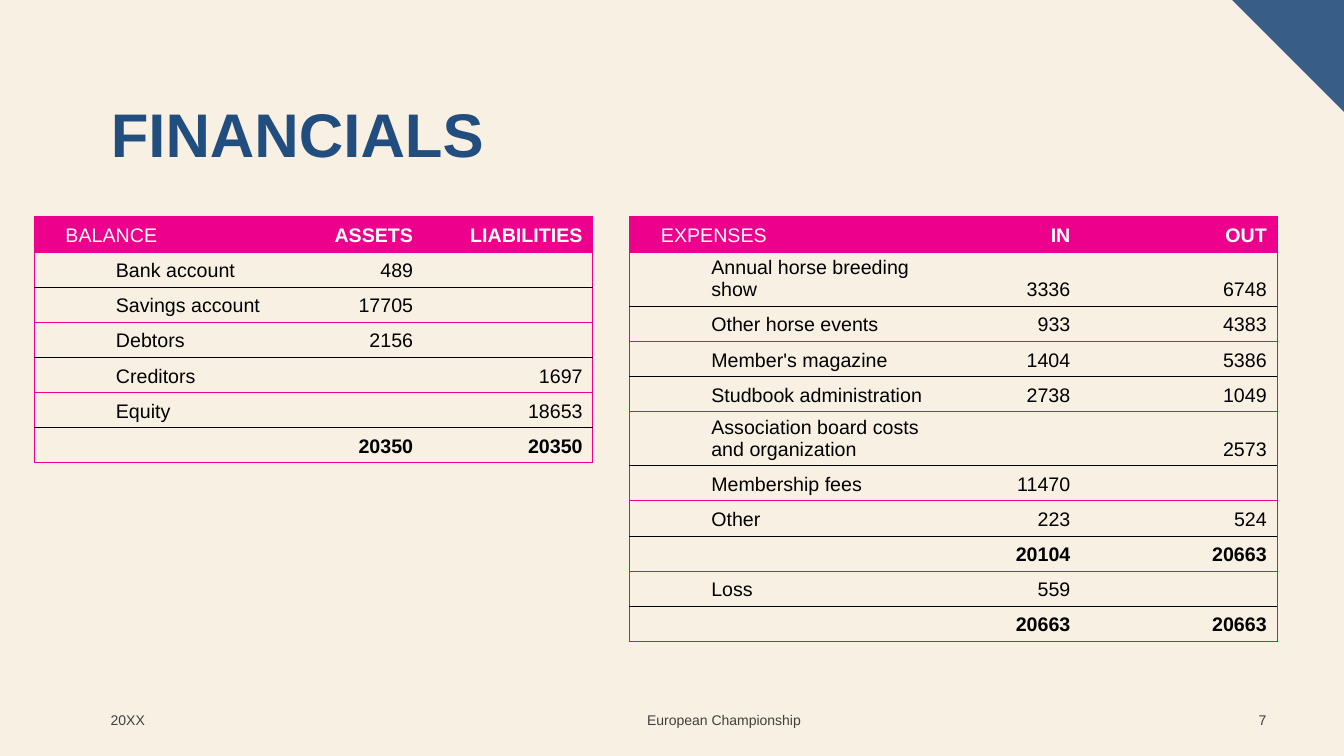
from dataclasses import dataclass

from lxml import etree
from pptx import Presentation
from pptx import util as u
from pptx.dml.color import RGBColor
from pptx.enum import shapes, text
from pptx.oxml.ns import qn

SLIDE_WIDTH, SLIDE_HEIGHT = u.Inches(13.33), u.Inches(7.5)


@dataclass(frozen=True)
class Theme:
    font: str = "Arial"
    cream: str = "F8F0E3"
    corner: str = "385E88"
    navy: str = "224E7F"
    magenta: str = "EC008C"
    white: str = "FFFFFF"
    black: str = "000000"
    grey: str = "404040"
    title_size: int = 44
    table_size: int = 14
    footer_size: int = 10
    rule_width: float = 0.5


@dataclass(frozen=True)
class Entry:
    label: str
    first: str = ""
    second: str = ""
    lines: int = 1


@dataclass(frozen=True)
class Ledger:
    """A table with its left edge and width in percent of the slide."""
    left: float
    width: float
    entries: tuple[Entry, ...]


@dataclass(frozen=True)
class FooterItem:
    wording: str
    left: float
    width: float
    alignment: text.PP_ALIGN


THEME = Theme()
LEDGER_TOP = 28.67
COLUMN_PERCENTS = (48.5, 21.15, 30.35)
ROW_HEIGHTS = {1: 4.65, 2: 7.15}

LEDGERS = (
    Ledger(2.55, 41.56, (
        Entry("BALANCE", "ASSETS", "LIABILITIES"),
        Entry("Bank account", "489"),
        Entry("Savings account", "17705"),
        Entry("Debtors", "2156"),
        Entry("Creditors", "", "1697"),
        Entry("Equity", "", "18653"),
        Entry("", "20350", "20350"),
    )),
    Ledger(46.85, 48.16, (
        Entry("EXPENSES", "IN", "OUT"),
        Entry("Annual horse breeding show", "3336", "6748", lines=2),
        Entry("Other horse events", "933", "4383"),
        Entry("Member's magazine", "1404", "5386"),
        Entry("Studbook administration", "2738", "1049"),
        Entry("Association board costs and organization", "", "2573", lines=2),
        Entry("Membership fees", "11470"),
        Entry("Other", "223", "524"),
        Entry("", "20104", "20663"),
        Entry("Loss", "559"),
        Entry("", "20663", "20663"),
    )),
)

FOOTER = (
    FooterItem("20XX", 7.5, 9, text.PP_ALIGN.LEFT),
    FooterItem("European Championship", 44.49, 18.75, text.PP_ALIGN.CENTER),
    FooterItem("7", 91.22, 3.75, text.PP_ALIGN.RIGHT),
)


def across(percent: float) -> u.Emu:
    return u.Emu(round(SLIDE_WIDTH * percent / 100))


def down(percent: float) -> u.Emu:
    return u.Emu(round(SLIDE_HEIGHT * percent / 100))


def format_paragraph(paragraph, size: float, color: str, bold: bool,
                     alignment: text.PP_ALIGN) -> None:
    paragraph.alignment = alignment
    font = paragraph.font
    font.name, font.size, font.bold = THEME.font, u.Pt(size), bold
    font.color.rgb = RGBColor.from_string(color)


def set_borders(cell, colors: dict[str, str | None]) -> None:
    """Draw the sides L, R, T and B; a side without a colour stays open."""
    properties = cell._tc.get_or_add_tcPr()
    for side, color in colors.items():
        line = etree.SubElement(properties, qn(f"a:ln{side}"),
                                w=str(u.Pt(THEME.rule_width)))
        if color:
            fill = etree.SubElement(line, qn("a:solidFill"))
            etree.SubElement(fill, qn("a:srgbClr"), val=color)
        else:
            etree.SubElement(line, qn("a:noFill"))


def rule_color(boundary: int, row_count: int) -> str:
    """Inner rules alternate between black and magenta."""
    inner = 1 < boundary < row_count
    return THEME.black if inner and boundary % 2 == 0 else THEME.magenta


def fill_cell(cell, wording: str, row: int, column: int, row_count: int,
              is_total: bool) -> None:
    is_header, is_label = row == 0, column == 0
    set_borders(cell, {
        "L": THEME.magenta if is_label else None,
        "R": THEME.magenta if column == len(COLUMN_PERCENTS) - 1 else None,
        "T": rule_color(row, row_count),
        "B": rule_color(row + 1, row_count),
    })
    if is_header:
        cell.fill.solid()
        cell.fill.fore_color.rgb = RGBColor.from_string(THEME.magenta)
    else:
        cell.fill.background()
    cell.vertical_anchor = text.MSO_ANCHOR.BOTTOM
    if is_label:
        cell.margin_left = u.Inches(0.31)
    cell.text = wording
    paragraph = cell.text_frame.paragraphs[0]
    format_paragraph(
        paragraph, THEME.table_size, THEME.white if is_header else THEME.black,
        is_total or (is_header and not is_label),
        text.PP_ALIGN.LEFT if is_label else text.PP_ALIGN.RIGHT)
    if is_label and not is_header:
        paragraph.level = 1
        paragraph._p.get_or_add_pPr().set("marL", str(u.Inches(0.5)))
    if not wording:
        paragraph._p.get_or_add_endParaRPr().set("sz", str(THEME.table_size * 100))


def draw_ledger(slide, ledger: Ledger) -> None:
    row_count = len(ledger.entries)
    heights = [ROW_HEIGHTS[entry.lines] for entry in ledger.entries]
    table = slide.shapes.add_table(
        row_count, len(COLUMN_PERCENTS), across(ledger.left), down(LEDGER_TOP),
        across(ledger.width), down(sum(heights))).table
    table.horz_banding = False
    for column, percent in zip(table.columns, COLUMN_PERCENTS):
        column.width = across(ledger.width * percent / 100)
    for row, (entry, height) in enumerate(zip(ledger.entries, heights)):
        table.rows[row].height = down(height)
        for column, wording in enumerate((entry.label, entry.first, entry.second)):
            fill_cell(table.cell(row, column), wording, row, column, row_count,
                      is_total=not entry.label)


def draw_title(slide, wording: str) -> None:
    title = slide.shapes.title
    title.left, title.top = across(7.5), down(13.07)
    title.width, title.height = across(86.27), down(19.33)
    title.text_frame.text = wording
    title.text_frame.vertical_anchor = text.MSO_ANCHOR.TOP
    paragraph = title.text_frame.paragraphs[0]
    paragraph.line_spacing = 0.9
    format_paragraph(paragraph, THEME.title_size, THEME.navy, True,
                     text.PP_ALIGN.LEFT)


def draw_corner(slide) -> None:
    side = across(8.33)
    corner = slide.shapes.add_shape(
        shapes.MSO_SHAPE.RIGHT_TRIANGLE, SLIDE_WIDTH - side, 0, side, side)
    corner.rotation = 180
    corner.shadow.inherit = False
    corner.fill.solid()
    corner.fill.fore_color.rgb = RGBColor.from_string(THEME.corner)
    corner.line.fill.background()


def draw_footer_item(slide, item: FooterItem) -> None:
    frame = slide.shapes.add_textbox(
        across(item.left), down(92.6), across(item.width), down(5.33)).text_frame
    frame.word_wrap = True
    frame.vertical_anchor = text.MSO_ANCHOR.MIDDLE
    frame.text = item.wording
    format_paragraph(frame.paragraphs[0], THEME.footer_size, THEME.grey, False,
                     item.alignment)


def main() -> None:
    deck = Presentation()
    deck.slide_width, deck.slide_height = SLIDE_WIDTH, SLIDE_HEIGHT
    slide = deck.slides.add_slide(deck.slide_layouts.get_by_name("Title Only"))
    slide.background.fill.solid()
    slide.background.fill.fore_color.rgb = RGBColor.from_string(THEME.cream)
    draw_corner(slide)
    draw_title(slide, "FINANCIALS")
    for ledger in LEDGERS:
        draw_ledger(slide, ledger)
    for item in FOOTER:
        draw_footer_item(slide, item)
    deck.save("out.pptx")


if __name__ == "__main__":
    main()
